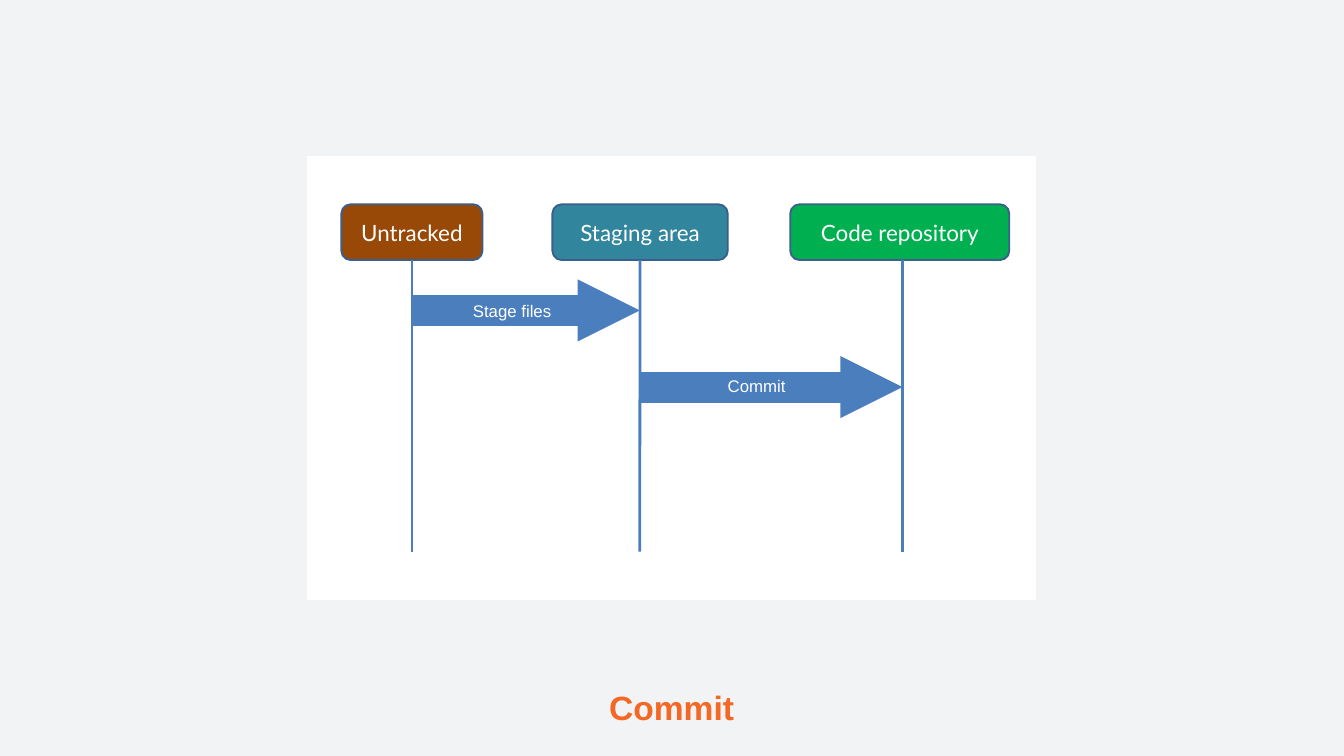
from lxml import etree
from pptx import Presentation
from pptx.dml.color import RGBColor
from pptx.enum import shapes, text
from pptx.oxml.ns import qn
from pptx.util import Inches, Pt

# Content: stages (label, left, width, fill, lifeline position)
STAGES = [
    ("Untracked", 5.08, 2.1, "984807", 6.13),
    ("Staging area", 8.22, 2.61, "31859C", 9.52),
    ("Code repository", 11.76, 3.26, "00B050", 13.43),
]
# Steps: index of the starting stage, arrow height, label and its box
STEPS = [
    (0, 4.62, "Stage files", (6.85, 4.42, 1.54, 0.4)),
    (1, 5.76, "Commit", (10.51, 5.54, 1.5, 0.4)),
]
CAPTION = ("Commit", (8.33, 10.17, 3.33, 0.71))
PANEL = (4.58, 2.33, 10.83, 6.58)

STAGE_TOP, STAGE_HEIGHT, LIFELINE_END = 3.04, 0.83, 8.21
BLUE, WHITE = "4B7EBC", "FFFFFF"
STAGE_FONT = {"name": "Lato", "size": Pt(24)}
STEP_FONT = {"name": "Arial", "size": Pt(18)}
CAPTION_FONT = {"name": "Arial", "size": Pt(36), "bold": True}
ARROWHEAD = {"type": "triangle", "w": "sm", "len": "sm"}


def color(hex_value):
    return RGBColor.from_string(hex_value)


def write(frame, words, font, hex_value, anchor):
    frame.word_wrap = True
    frame.vertical_anchor = anchor
    paragraph = frame.paragraphs[0]
    paragraph.alignment = text.PP_ALIGN.CENTER
    run = paragraph.add_run()
    run.text = words
    for key, value in font.items():
        setattr(run.font, key, value)
    run.font.color.rgb = color(hex_value)


def add_label(slide, words, box, font, hex_value):
    label = slide.shapes.add_textbox(*map(Inches, box))
    write(label.text_frame, words, font, hex_value, text.MSO_ANCHOR.TOP)


def add_box(slide, kind, box, fill, outline):
    shape = slide.shapes.add_shape(kind, *map(Inches, box))
    shape.shadow.inherit = False
    shape.fill.solid()
    shape.fill.fore_color.rgb = color(fill)
    shape.line.color.rgb = color(outline)
    shape.line.width = Pt(2)
    return shape


def add_line(slide, start, end, width):
    line = slide.shapes.add_connector(
        shapes.MSO_CONNECTOR.STRAIGHT, *map(Inches, start + end))
    line.line.color.rgb = color(BLUE)
    line.line.width = Pt(width)
    etree.SubElement(line._element.spPr, qn("a:effectLst"))
    return line


def main():
    deck = Presentation()
    deck.slide_width, deck.slide_height = Inches(20), Inches(11.25)
    slide = deck.slides.add_slide(deck.slide_layouts[6])
    slide.background.fill.solid()
    slide.background.fill.fore_color.rgb = color("F2F3F4")

    # Panel and caption
    add_box(slide, shapes.MSO_SHAPE.RECTANGLE, PANEL, WHITE, WHITE)
    add_label(slide, *CAPTION, CAPTION_FONT, "F36825")

    # Stages, each with a lifeline, joined where it starts at the middle
    for name, left, width, fill, x in STAGES:
        stage = add_box(slide, shapes.MSO_SHAPE.ROUNDED_RECTANGLE,
                        (left, STAGE_TOP, width, STAGE_HEIGHT), fill, "3A5F8C")
        write(stage.text_frame, name, STAGE_FONT, WHITE, text.MSO_ANCHOR.MIDDLE)
        lifeline = add_line(slide, (x, STAGE_TOP + STAGE_HEIGHT), (x, LIFELINE_END), 3)
        if abs(left + width / 2 - x) < 0.02:
            lifeline.begin_connect(stage, 2)

    # Steps: thick arrows from one lifeline to the next
    lifelines = [stage[-1] for stage in STAGES]
    for origin, y, name, box in STEPS:
        arrow = add_line(slide, (lifelines[origin], y), (lifelines[origin + 1], y), 33.25)
        etree.SubElement(arrow.line._get_or_add_ln(), qn("a:tailEnd"), ARROWHEAD)
        add_label(slide, name, box, STEP_FONT, WHITE)

    deck.save("out.pptx")


if __name__ == "__main__":
    main()
